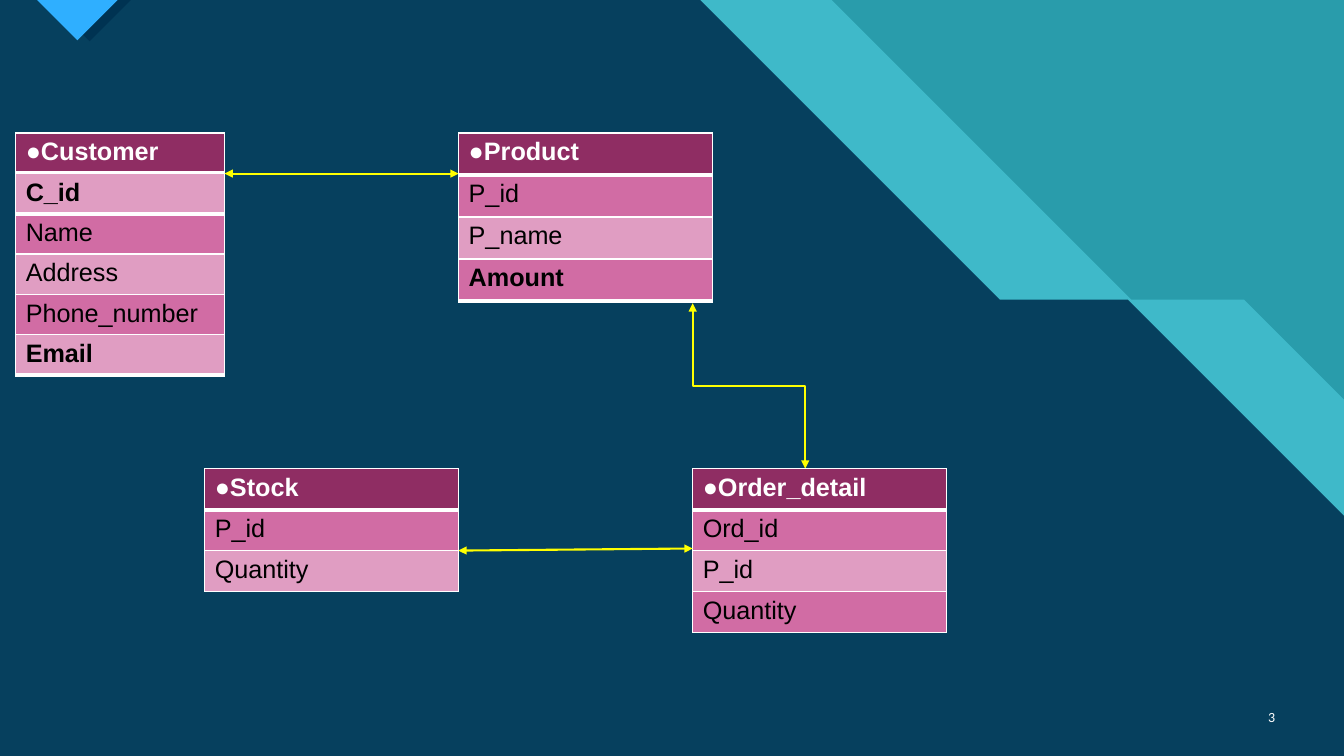
import pptx
import pptx.util
import pptx.dml.color
import pptx.enum.shapes
import pptx.enum.text
import pptx.oxml
import pptx.oxml.ns
import lxml.etree

Pt = pptx.util.Pt
qn = pptx.oxml.ns.qn

COLORS = {
    "teal": "299CAB", "aqua": "3FB9C9", "navy": "06405E", "shade": "003352",
    "blue": "2FAFFF", "header": "8F2D63", "pink": "D16CA4", "pale": "E09DC2",
    "white": "FFFFFF", "black": "000000", "yellow": "FFFF00",
}
WIDTH, HEIGHT = 960, 540
THIN, THICK = 1, 3


def rgb(name):
    return pptx.dml.color.RGBColor.from_string(COLORS[name])


def add_polygon(slide, points, color):
    builder = slide.shapes.build_freeform(Pt(points[0][0]), Pt(points[0][1]))
    builder.add_line_segments([(Pt(x), Pt(y)) for x, y in points[1:]], close=True)
    polygon = builder.convert_to_shape()
    polygon.shadow.inherit = False
    polygon.fill.solid()
    polygon.fill.fore_color.rgb = rgb(color)
    polygon.line.fill.background()


def add_backdrop(slide, width, height):
    slide.background.fill.solid()
    slide.background.fill.fore_color.rgb = rgb("teal")
    # Each band: start on the top edge, ledge from x to x, height on the right edge
    for color, top_x, ledge_x, ledge_end, right_y in (
        ("aqua", 594, 808, 888.5, 285.5),
        ("navy", 500, 714, 805.5, 368.5),
    ):
        add_polygon(slide, [
            (0, 0), (top_x, 0), (ledge_x, 214), (ledge_end, 214),
            (width, right_y), (width, height), (0, height),
        ], color)
    for color, left, size in (("shade", 34.5, 29.5), ("blue", 26.5, 28.8)):
        add_polygon(slide, [(left, 0), (left + 2 * size, 0), (left + size, size)], color)


def set_border(cell, side, weight):
    border = lxml.etree.SubElement(
        cell._tc.get_or_add_tcPr(), qn(f"a:ln{side}"), w=str(Pt(weight)))
    fill = lxml.etree.SubElement(border, qn("a:solidFill"))
    lxml.etree.SubElement(fill, qn("a:srgbClr"), val=COLORS["white"])


def add_entity(slide, left, top, width, row_height, parts, bands, strong):
    """Stack the parts of one entity; strong rows are bold with a thick rule below."""
    index = 0
    for names in parts:
        table = slide.shapes.add_table(
            len(names), 1, Pt(left), Pt(top + index * row_height),
            Pt(width), Pt(len(names) * row_height)).table
        table.first_row = table.horz_banding = False
        above = THIN
        for row, name in enumerate(names):
            is_header = index == 0
            is_strong = is_header or name in strong
            below = THICK if is_strong else THIN
            table.rows[row].height = Pt(row_height)
            cell = table.cell(row, 0)
            for side, weight in (("L", THIN), ("R", THIN), ("T", above), ("B", below)):
                set_border(cell, side, weight)
            cell.fill.solid()
            cell.fill.fore_color.rgb = rgb("header" if is_header else bands[(index - 1) % 2])
            cell.text = name
            font = cell.text_frame.paragraphs[0].font
            font.name, font.size, font.bold = "Arial", Pt(18), is_strong
            font.color.rgb = rgb("white" if is_header else "black")
            above = below
            index += 1


def add_relation(slide, kind, begin, end):
    relation = slide.shapes.add_connector(kind, *map(Pt, begin + end))
    relation.line.color.rgb = rgb("yellow")
    relation.line.width = Pt(1.5)
    line = relation.line._get_or_add_ln()
    for tag in ("a:headEnd", "a:tailEnd"):
        lxml.etree.SubElement(line, qn(tag), type="triangle")
    lxml.etree.SubElement(relation._element.spPr, qn("a:effectLst"))
    return relation


def add_vertical_elbow(slide, begin, end):
    """Turn an elbow a quarter so that it leaves and arrives vertically."""
    center_x, center_y = (begin[0] + end[0]) / 2, (begin[1] + end[1]) / 2
    half_x, half_y = (end[0] - begin[0]) / 2, (end[1] - begin[1]) / 2
    elbow = add_relation(
        slide, pptx.enum.shapes.MSO_CONNECTOR.ELBOW,
        (center_x + half_y, center_y - half_x), (center_x - half_y, center_y + half_x))
    elbow._element.spPr.find(qn("a:xfrm")).set("rot", str(270 * 60000))


def add_page_number(slide, left, top, width, height):
    frame = slide.shapes.add_textbox(Pt(left), Pt(top), Pt(width), Pt(height)).text_frame
    frame.word_wrap = True
    frame.vertical_anchor = pptx.enum.text.MSO_ANCHOR.MIDDLE
    number = frame.paragraphs[0]
    number.text = "3"
    number.alignment = pptx.enum.text.PP_ALIGN.RIGHT
    number.font.name, number.font.size = "Calibri", Pt(10)
    number.font.color.rgb = rgb("white")


def add_schema(slide):
    dark_first, pale_first = ("pink", "pale"), ("pale", "pink")
    upper, lower = 95, 334.8
    customer_left, product_left, order_left, stock_left = 11.2, 327.6, 494.8, 146.2
    customer_width, width = 149.2, 181.2
    straight = pptx.enum.shapes.MSO_CONNECTOR.STRAIGHT

    add_entity(slide, customer_left, upper, customer_width, 28.8,
               [["●Customer"], ["C_id", "Name", "Address", "Phone_number"], ["Email"]],
               pale_first, ("C_id", "Email"))
    add_relation(slide, straight, (customer_left + customer_width, 124), (product_left, 124))
    add_entity(slide, product_left, upper, width, 30,
               [["●Product", "P_id", "P_name"], ["Amount"]], dark_first, ("Amount",))
    add_vertical_elbow(slide, (order_left, 216.6), (575.2, lower))
    add_entity(slide, order_left, lower, width, 29.3,
               [["●Order_detail", "Ord_id", "P_id", "Quantity"]], dark_first, ())
    add_relation(slide, straight, (order_left, 391.8), (stock_left + width, 393.3))
    add_entity(slide, stock_left, lower, width, 29.3,
               [["●Stock", "P_id", "Quantity"]], dark_first, ())


def main():
    deck = pptx.Presentation()
    deck.slide_width, deck.slide_height = Pt(WIDTH), Pt(HEIGHT)
    slide = deck.slides.add_slide(deck.slide_layouts[6])
    add_backdrop(slide, WIDTH, HEIGHT)
    add_page_number(slide, 886.3, 497.5, 31.7, 28.8)
    add_schema(slide)
    deck.save("out.pptx")


if __name__ == "__main__":
    main()
